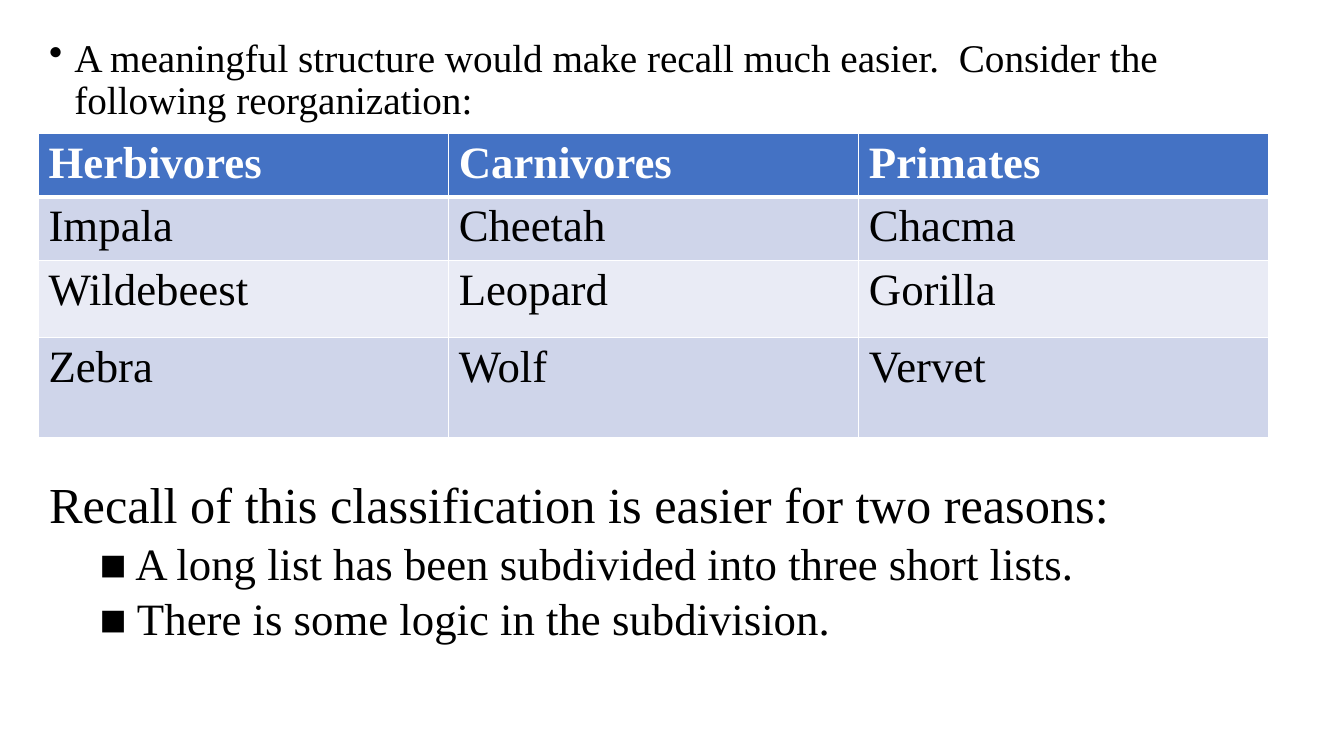
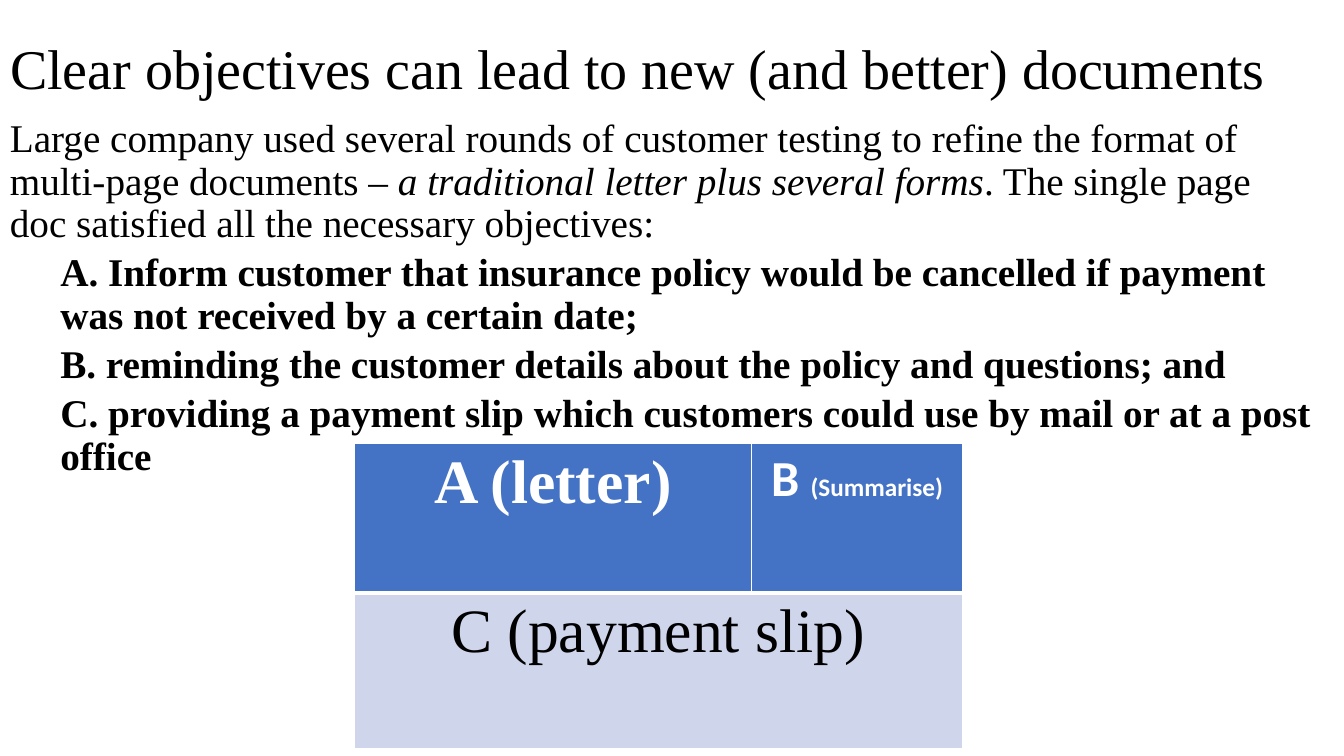
from lxml.etree import SubElement
from pptx import Presentation
from pptx.dml.color import RGBColor
from pptx.enum.text import MSO_ANCHOR, MSO_AUTO_SIZE, PP_ALIGN
from pptx.oxml.ns import qn
from pptx.util import Pt

SERIF = "Times New Roman"
BLACK = "000000"
WHITE = "FFFFFF"
HEADER = "4472C4"
BANDS = ("CFD5EA", "E9EBF5")
TITLE_ONLY, BLANK = 5, 6


def color(hex_value):
    return RGBColor.from_string(hex_value)


def style_font(font, size, hex_value=BLACK, bold=False, name=SERIF):
    font.name = name
    font.size = Pt(size)
    font.bold = bold
    font.color.rgb = color(hex_value)


def add_title(slide, text, left, top, width, height):
    title = slide.shapes.title
    title.left, title.top, title.width, title.height = map(Pt, (left, top, width, height))
    frame = title.text_frame
    frame.text = text
    frame.auto_size = MSO_AUTO_SIZE.NONE
    frame.vertical_anchor = MSO_ANCHOR.MIDDLE
    paragraph = frame.paragraphs[0]
    paragraph.alignment = PP_ALIGN.LEFT
    paragraph.line_spacing = 0.9
    style_font(paragraph.font, 40)


def add_body(slide, left, top, width, height):
    box = slide.shapes.add_textbox(*map(Pt, (left, top, width, height)))
    box.text_frame.word_wrap = True
    return box.text_frame


def add_paragraph(frame, text, size, level=0, before=None, bold=False, bullet=None):
    first = frame.paragraphs[0]
    paragraph = frame.add_paragraph() if first.runs else first
    paragraph.add_run().text = text
    paragraph.level = level
    paragraph.line_spacing = 0.9
    paragraph.space_before = Pt(before or (5 if level else 10))
    properties = paragraph._p.get_or_add_pPr()
    hanging = 18 if bullet else 0
    properties.set("marL", str(Pt(36 * level + hanging)))
    properties.set("indent", str(Pt(-hanging)))
    if bullet:
        SubElement(properties, qn("a:buChar"), char=bullet)
    style_font(paragraph.font, size, bold=bold)
    return paragraph


def set_borders(cell, bottom):
    properties = cell._tc.get_or_add_tcPr()
    for side, width in (("L", 1), ("R", 1), ("T", 1), ("B", bottom)):
        line = SubElement(properties, qn(f"a:ln{side}"), w=str(Pt(width)))
        fill = SubElement(line, qn("a:solidFill"))
        SubElement(fill, qn("a:srgbClr"), val=WHITE)


def add_table(slide, left, top, columns, rows, texts, size, alignment=PP_ALIGN.LEFT):
    table = slide.shapes.add_table(
        len(rows), len(columns), Pt(left), Pt(top), Pt(sum(columns)), Pt(sum(rows))
    ).table
    for column, width in zip(table.columns, columns):
        column.width = Pt(width)
    for row_index, (height, row_texts) in enumerate(zip(rows, texts)):
        table.rows[row_index].height = Pt(height)
        is_header = row_index == 0
        for cell, text in zip(table.rows[row_index].cells, row_texts):
            set_borders(cell, bottom=3 if is_header else 1)
            cell.fill.solid()
            cell.fill.fore_color.rgb = color(HEADER if is_header else BANDS[(row_index - 1) % 2])
            cell.text = text
            paragraph = cell.text_frame.paragraphs[0]
            paragraph.alignment = alignment
            style_font(paragraph.font, size, WHITE if is_header else BLACK, is_header)
    return table


def build_classification(presentation):
    slide = presentation.slides.add_slide(presentation.slide_layouts[BLANK])
    body = add_body(slide, 28, 24, 901, 494)
    add_paragraph(
        body,
        "A meaningful structure would make recall much easier.  "
        "Consider the following reorganization:",
        28,
        bullet="•",
    )
    add_paragraph(body, "Recall of this classification is easier for two reasons:", 36, before=255)
    for reason in (
        "■ A long list has been subdivided into three short lists.",
        "■ There is some logic in the subdivision.",
    ):
        add_paragraph(body, reason, 32, level=1)
    animals = (
        ("Herbivores", "Carnivores", "Primates"),
        ("Impala", "Cheetah", "Chacma"),
        ("Wildebeest", "Leopard", "Gorilla"),
        ("Zebra", "Wolf", "Vervet"),
    )
    add_table(slide, 27.5, 95, [293] * 3, (41, 39, 55, 71), animals, 32)


def build_objectives(presentation):
    slide = presentation.slides.add_slide(presentation.slide_layouts[TITLE_ONLY])
    add_title(slide, "Clear objectives can lead to new (and better) documents", 0, 14.5, 954, 73)
    body = add_body(slide, 0, 81.5, 945, 458)
    introduction = add_paragraph(
        body,
        "Large company used several rounds of customer testing to refine "
        "the format of multi-page documents – ",
        28,
    )
    emphasis = introduction.add_run()
    emphasis.text = "a traditional letter plus several forms"
    emphasis.font.italic = True
    introduction.add_run().text = ". The single page doc satisfied all the necessary objectives:"
    for objective in (
        "A. Inform customer that insurance policy would be cancelled if payment "
        "was not received by a certain date;",
        "B. reminding the customer details about the policy and questions; and",
        "C. providing a payment slip which customers could use by mail or at a post office",
    ):
        add_paragraph(body, objective, 28, level=1, bold=True)
    document_parts = (("A (letter)", "B "), ("C (payment slip)", ""))
    table = add_table(
        slide, 253, 317, (284, 150.5), (106.5, 111.5), document_parts, 44, PP_ALIGN.CENTER
    )
    table.cell(1, 0).merge(table.cell(1, 1))
    summary = table.cell(0, 1).text_frame.paragraphs[0]
    style_font(summary.font, 36, WHITE, True, "Calibri")
    note = summary.add_run()
    note.text = "(Summarise)"
    note.font.size = Pt(18)


def main():
    presentation = Presentation()
    presentation.slide_width = Pt(960)
    presentation.slide_height = Pt(540)
    build_classification(presentation)
    build_objectives(presentation)
    presentation.save("out.pptx")


main()
